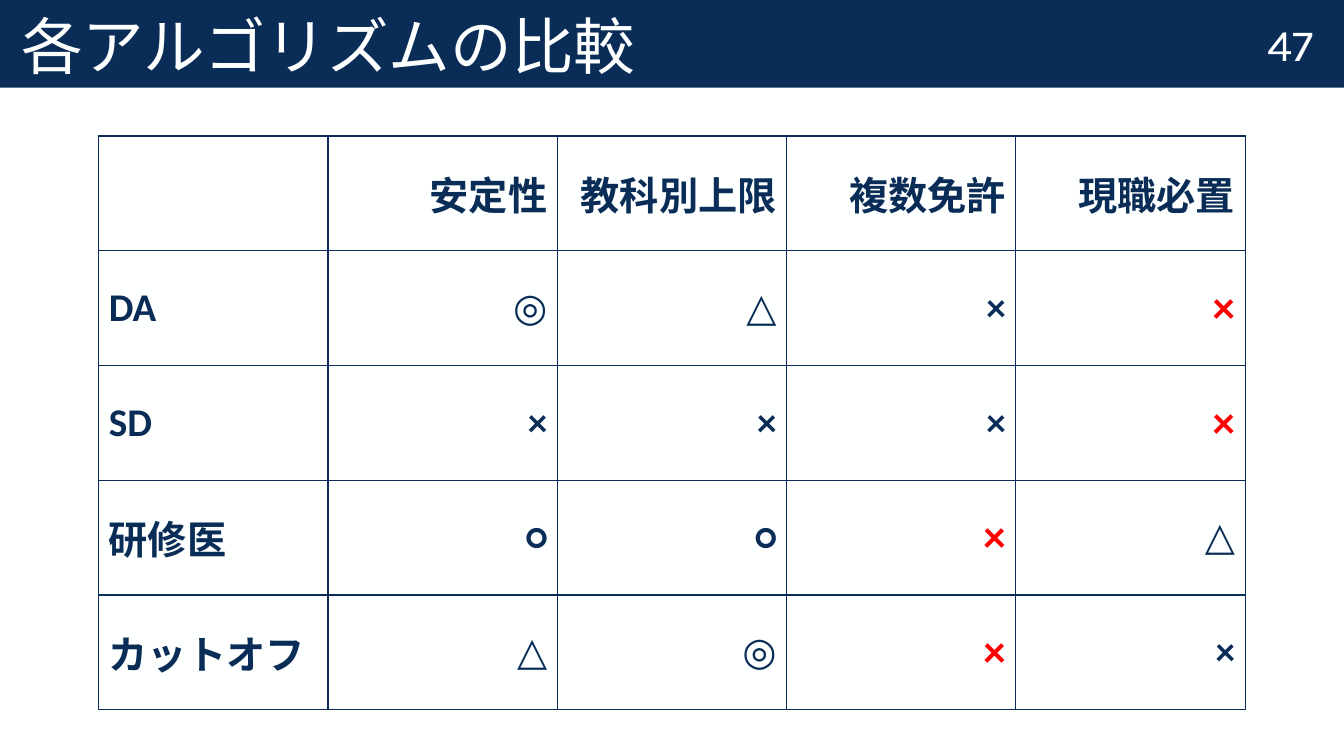
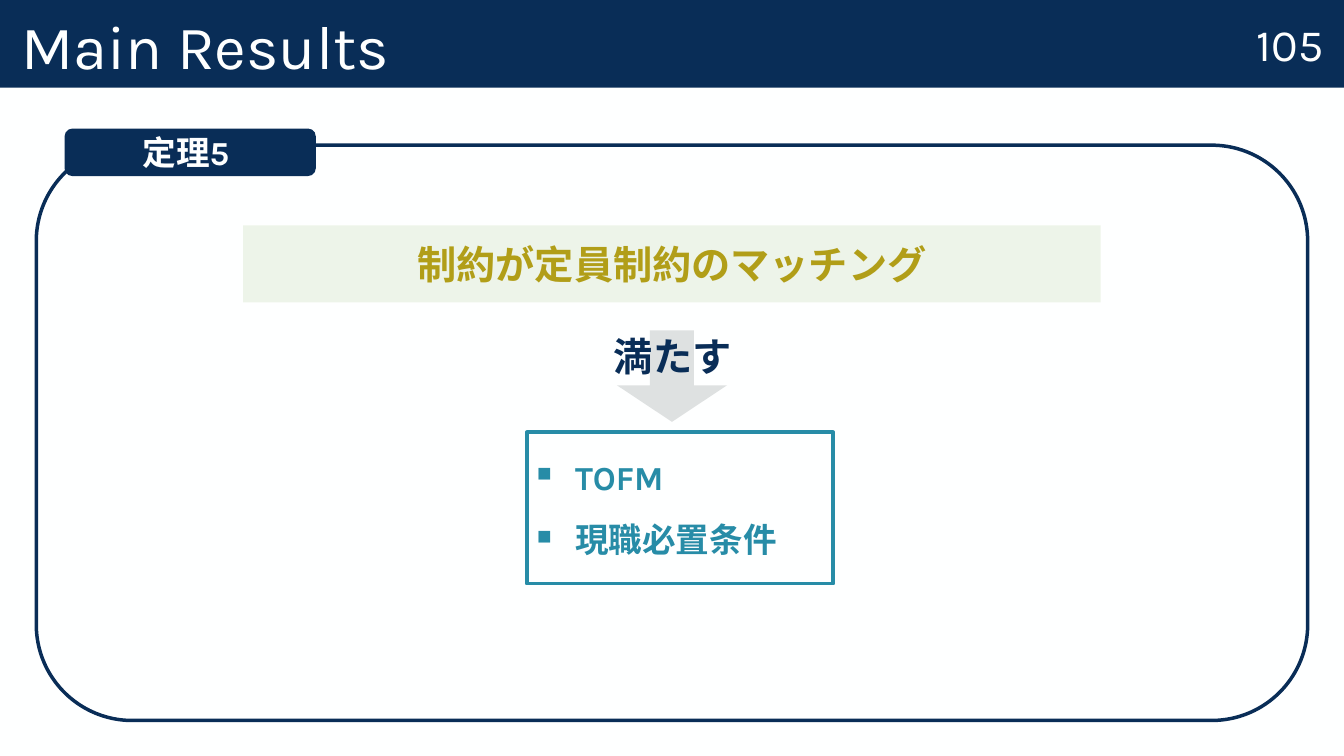
"""Build two slides: a table comparing algorithms and a theorem on matching."""
import lxml.etree
import pptx
import pptx.dml.color
import pptx.enum.shapes
import pptx.enum.text
import pptx.oxml.ns
import pptx.util

HUE = {
    "navy": "092D57",
    "white": "FEFFFF",
    "red": "FF0000",
    "green": "689E38",
    "gold": "B19E18",
    "teal": "278CA7",
    "gray": "DEE1E1",
}
KIND = pptx.enum.shapes.MSO_SHAPE
SIDE = pptx.enum.text.PP_ALIGN
MID = pptx.enum.text.MSO_ANCHOR.MIDDLE
LOW = pptx.enum.text.MSO_ANCHOR.BOTTOM
TOP = pptx.enum.text.MSO_ANCHOR.TOP
RGB = pptx.dml.color.RGBColor.from_string
Pt = pptx.util.Pt
qn = pptx.oxml.ns.qn

deck = pptx.Presentation()
deck.slide_width = pptx.util.Inches(13.333)
deck.slide_height = pptx.util.Inches(7.5)
col = deck.slide_width / 100
row = deck.slide_height / 100


def box(page, kind, spot, fill=None, line=None, wide=1):
    """Add a shape, or a text box if kind is None, placed in percent of the slide."""
    x, y, w, h = spot
    area = [int(v) for v in (x * col, y * row, w * col, h * row)]
    if kind is None:
        item = page.shapes.add_textbox(*area)
    else:
        item = page.shapes.add_shape(kind, *area)
        item.shadow.inherit = False
    if fill:
        item.fill.solid()
        item.fill.fore_color.rgb = RGB(HUE[fill])
    else:
        item.fill.background()
    if line:
        item.line.color.rgb = RGB(HUE[line])
        item.line.width = Pt(wide)
    else:
        item.line.fill.background()
    return item


def write(frame, text, size, hue, side=SIDE.CENTER, bold=True, font="Karla", hold=MID):
    """Set the text of a frame and format every run."""
    frame.text = text
    frame.word_wrap = True
    frame.vertical_anchor = hold
    for para in frame.paragraphs:
        para.alignment = side
        for run in para.runs:
            run.font.name = font
            run.font.size = Pt(size)
            run.font.bold = bold
            run.font.color.rgb = RGB(HUE[hue])


pages = []
for title, num in (("各アルゴリズムの比較", "47"), ("Main Results", "105")):
    page = deck.slides.add_slide(deck.slide_layouts[6])
    page.background.fill.solid()
    page.background.fill.fore_color.rgb = RGB(HUE["white"])
    band = box(page, KIND.RECTANGLE, (0, 0, 100, 11.6), "navy")
    write(band.text_frame, title, 44, "white", SIDE.LEFT, False, hold=LOW)
    band.text_frame.margin_left = pptx.util.Inches(0.21)
    band.text_frame.paragraphs[0].line_spacing = 0.9
    mark = box(page, None, (92.1, 0, 7.8, 11.5))
    write(mark.text_frame, num, 32, "white", bold=False)
    pages.append(page)
first, last = pages

rows = (
    ("", "安定性", "教科別上限", "複数免許", "現職必置"),
    ("DA", "◎", "△", "×", "×"),
    ("SD", "×", "×", "×", "×"),
    ("研修医", "○", "○", "×", "△"),
    ("カットオフ", "△", "◎", "×", "×"),
)
hot = {(1, 4), (2, 4), (3, 3), (4, 3)}
spot = [int(v) for v in (7.35 * col, 18 * row, 85.3 * col, 75.9 * row)]
grid = first.shapes.add_table(len(rows), len(rows[0]), *spot).table
grid.first_row = False
grid.horz_banding = False
for r, words in enumerate(rows):
    for c, word in enumerate(words):
        cell = grid.cell(r, c)
        props = cell._tc.get_or_add_tcPr()
        for edge in ("a:lnL", "a:lnR", "a:lnT", "a:lnB"):
            rule = lxml.etree.SubElement(props, qn(edge), w=str(Pt(1)))
            paint = lxml.etree.SubElement(rule, qn("a:solidFill"))
            lxml.etree.SubElement(paint, qn("a:srgbClr"), val=HUE["navy"])
        cell.fill.background()
        size, hue = (32, "red") if (r, c) in hot else (28, "navy")
        side = SIDE.RIGHT if c else SIDE.LEFT
        write(cell.text_frame, word, size, hue, side, font="Calibri")
        cell.vertical_anchor = MID

claim = box(last, KIND.RECTANGLE, (18.1, 29.8, 63.8, 10.2), "green")
tint = claim.element.spPr.find(qn("a:solidFill"))[0]
lxml.etree.SubElement(tint, qn("a:alpha"), val="11000")
write(claim.text_frame, "制約が定員制約のマッチング", 28, "gold")
claim.text_frame.paragraphs[0].space_before = Pt(6)

box(last, KIND.ROUNDED_RECTANGLE, (2.7, 19.2, 94.6, 76.1), line="navy", wide=2.5)
tag = box(last, KIND.ROUNDED_RECTANGLE, (4.8, 17, 18.7, 6.3), "navy")
write(tag.text_frame, "定理5 ", 24, "white")

goals = box(last, KIND.RECTANGLE, (39.2, 57.2, 22.8, 20), line="teal", wide=2.75)
write(goals.text_frame, "TOFM\n現職必置条件", 24, "teal", SIDE.LEFT)
dent = pptx.util.Inches(0.38)
for para in goals.text_frame.paragraphs:
    para.space_before = Pt(16)
    props = para._p.get_or_add_pPr()
    props.set("marL", str(dent))
    props.set("indent", str(-dent))
    lxml.etree.SubElement(props, qn("a:buSzPct"), val="60000")
    lxml.etree.SubElement(props, qn("a:buChar"), char="■")

arrow = box(last, KIND.DOWN_ARROW, (45.9, 43.7, 8.2, 12.1), "gray")
arrow.adjustments[0] = 0.4
arrow.adjustments[1] = 0.4
label = box(last, None, (38, 43.3, 24.1, 7.6))
write(label.text_frame, "満たす", 28, "navy", hold=TOP)

deck.save("out.pptx")
